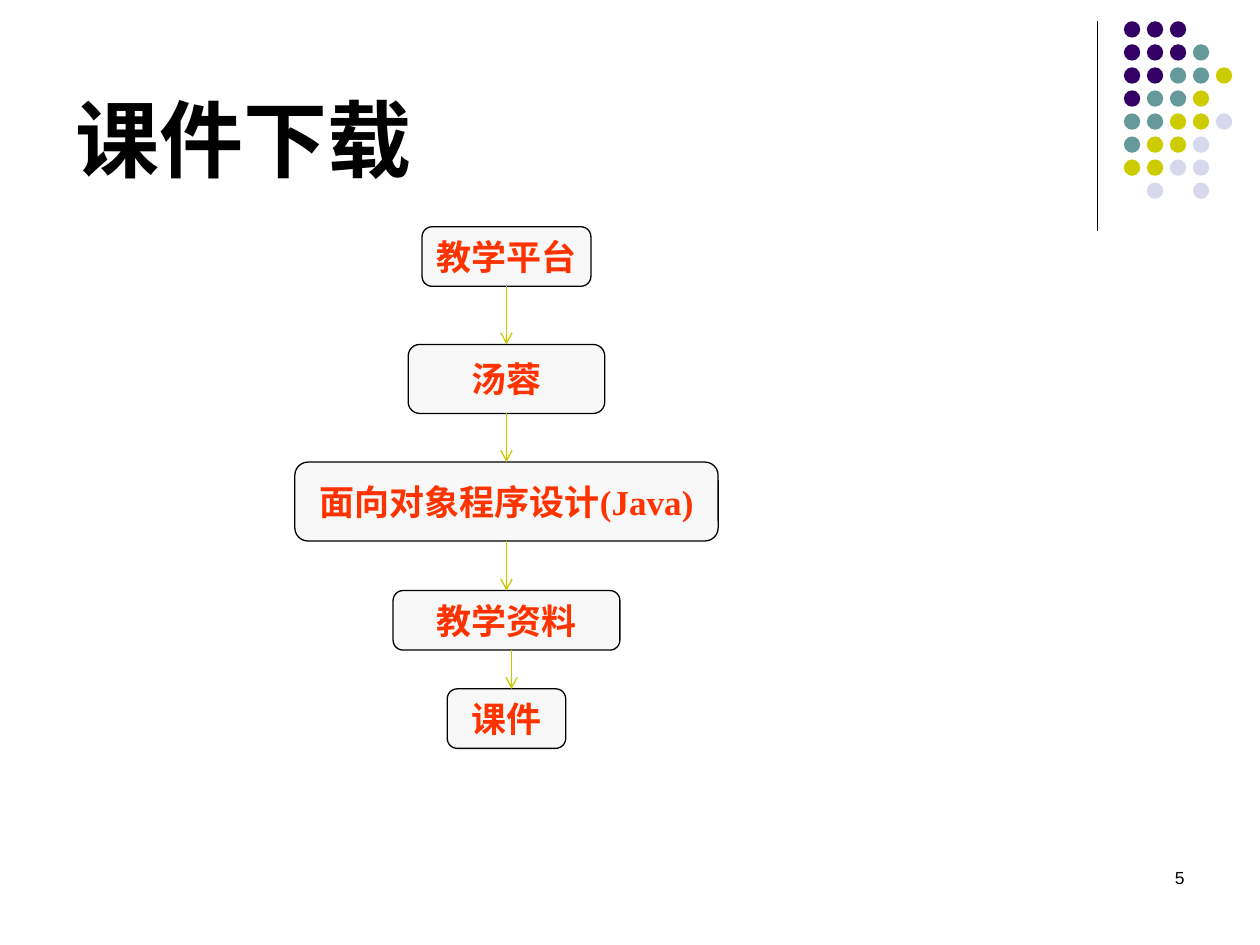
from lxml import etree
from pptx import Presentation
from pptx import util as u
from pptx.dml.color import RGBColor
from pptx.enum import shapes, text
from pptx.oxml.ns import qn

W, H = u.Inches(10), u.Inches(7.5)
COL, ROW = W / 100, H / 100
DOTS = ["PPP", "PPPT", "PPTTY", "PTTY", "TTYYL", "TYYL", "YYLL", " L L"]
DOT_COLOURS = {"P": "330066", "T": "669999", "Y": "CCCC00", "L": "D8D8EC"}
STEPS = [
    ("教学平台", 24, 13.4, 6.3),
    ("汤蓉", 36.45, 15.6, 7.3),
    ("面向对象程序设计(Java)", 48.9, 33.6, 8.35),
    ("教学资料", 62.5, 18, 6.3),
    ("课件", 72.9, 9.4, 6.3),
]


def colour(value):
    return RGBColor.from_string(value)


def grid(x, y, w, h):
    return [round(n) for n in (x * COL, y * ROW, w * COL, h * ROW)]


def write(sp, content, align, frame, font, ink):
    tf = sp.text_frame
    for key, value in frame.items():
        setattr(tf, key, value)
    p = tf.paragraphs[0]
    p.alignment = align
    r = p.add_run()
    r.text = content
    for key, value in font.items():
        setattr(r.font, key, value)
    r.font.color.rgb = colour(ink)


def add_line(s, start, end, ink, arrow=False):
    ln = s.shapes.add_connector(shapes.MSO_CONNECTOR.STRAIGHT, *start, *end)
    ln.line.color.rgb = colour(ink)
    ln.line.width = u.Pt(0.75)
    if arrow:
        etree.SubElement(ln.line._get_or_add_ln(), qn("a:tailEnd"), type="arrow")
    etree.SubElement(ln._element.spPr, qn("a:effectLst"))
    return ln


def add_title(s, box, content):
    sp = s.shapes.title
    sp.left, sp.top, sp.width, sp.height = box
    frame = dict(word_wrap=True, auto_size=text.MSO_AUTO_SIZE.NONE,
                 vertical_anchor=text.MSO_ANCHOR.BOTTOM)
    write(sp, content, text.PP_ALIGN.LEFT, frame,
          dict(name="Arial", size=u.Pt(48), bold=True), "000000")


def add_dots(s, box):
    left, top, width, height = box
    size = round(1.3 * COL)
    dx = (width - size) / (max(map(len, DOTS)) - 1)
    dy = (height - size) / (len(DOTS) - 1)
    group = s.shapes.add_group_shape()
    for row, marks in enumerate(DOTS):
        for col, mark in enumerate(marks):
            if mark == " ":
                continue
            sp = group.shapes.add_shape(
                shapes.MSO_SHAPE.OVAL, round(left + col * dx),
                round(top + row * dy), size, size)
            sp.shadow.inherit = False
            sp.fill.solid()
            sp.fill.fore_color.rgb = colour(DOT_COLOURS[mark])
            sp.line.fill.background()


def add_step(s, box, content):
    sp = s.shapes.add_shape(shapes.MSO_SHAPE.FLOWCHART_ALTERNATE_PROCESS, *box)
    sp.shadow.inherit = False
    sp.fill.solid()
    sp.fill.fore_color.rgb = colour("F8F8F8")
    sp.line.color.rgb = colour("000000")
    sp.line.width = u.Pt(0.75)
    frame = dict(word_wrap=False, vertical_anchor=text.MSO_ANCHOR.MIDDLE)
    write(sp, content, text.PP_ALIGN.CENTER, frame,
          dict(name="Times New Roman", size=u.Pt(20), bold=True), "FF3300")
    return sp


def add_flow(s, centre):
    steps = [add_step(s, grid(centre - w / 2, y, w, h), content)
             for content, y, w, h in STEPS]
    for upper, lower in zip(steps, steps[1:]):
        x = round(centre * COL)
        if lower is steps[-1]:
            x += round(0.4 * COL)
        ln = add_line(s, (x, upper.top + upper.height), (x, lower.top), "C8C800", True)
        if lower is not steps[-1]:
            ln.begin_connect(upper, 2)
            ln.end_connect(lower, 0)


def add_number(s, box, content):
    sp = s.shapes.add_textbox(*box)
    write(sp, content, text.PP_ALIGN.RIGHT, dict(word_wrap=True),
          dict(name="Arial", size=u.Pt(10)), "000000")


def main():
    prs = Presentation()
    prs.slide_width, prs.slide_height = W, H
    s = prs.slides.add_slide(prs.slide_layouts[5])
    x, top, _, height = grid(87.1, 2.25, 0, 22.15)
    add_line(s, (x, top), (x, top + height), "000000")
    add_dots(s, grid(89.2, 2.25, 8.6, 18.8))
    add_title(s, grid(5, 1.75, 82.5, 18.9), "课件下载")
    add_flow(s, 40.2)
    add_number(s, grid(71.7, 91.1, 23.3, 6.65), "5")
    prs.save("out.pptx")


if __name__ == "__main__":
    main()
